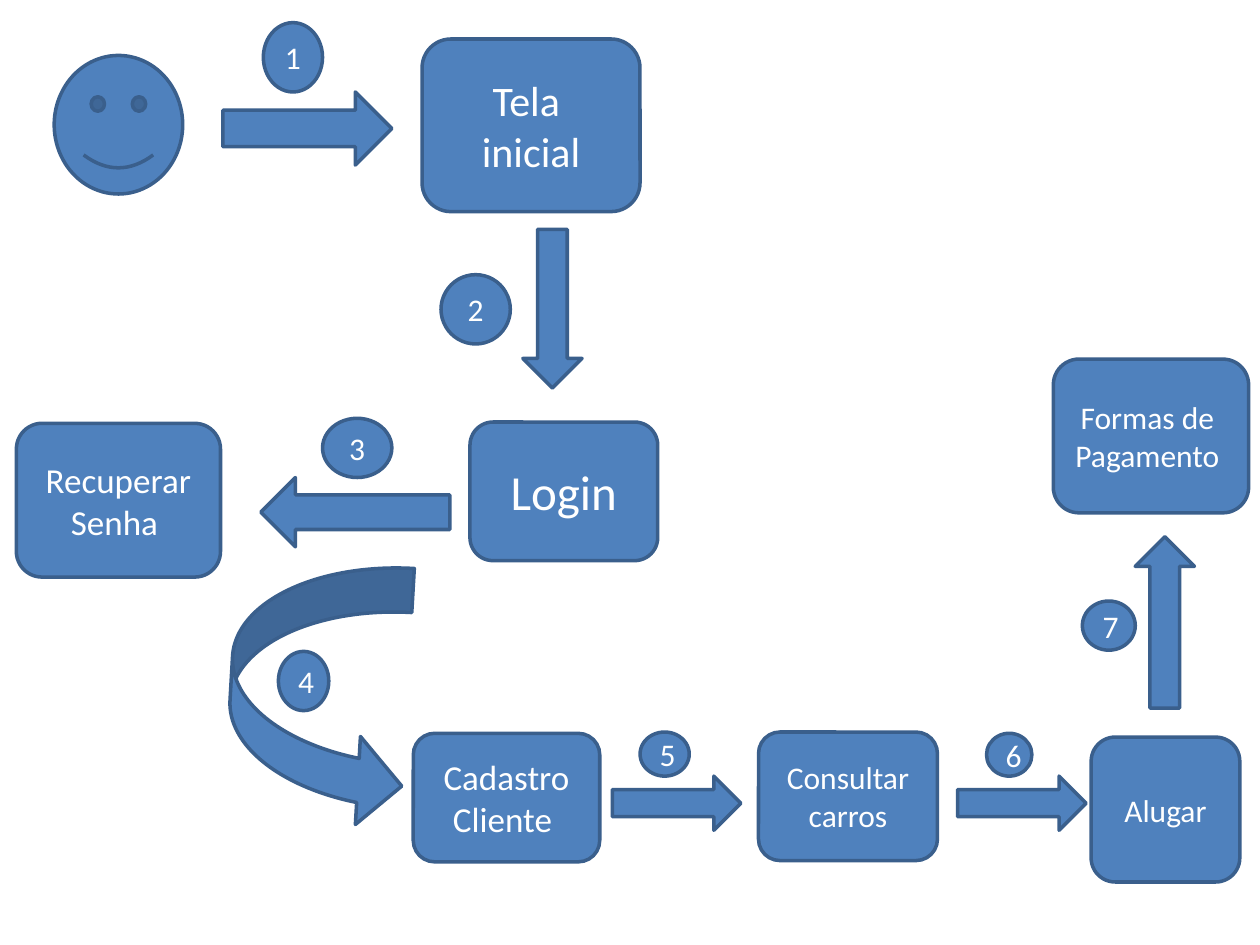
from pptx import Presentation
from pptx.dml.color import RGBColor
from pptx.enum.shapes import MSO_SHAPE
from pptx.enum.text import MSO_ANCHOR, PP_ALIGN
from pptx.util import Inches, Pt

BLUE = RGBColor(0x4F, 0x81, 0xBD)
OUTLINE = RGBColor(0x3A, 0x5F, 0x8C)
WHITE = RGBColor(0xFF, 0xFF, 0xFF)

# Screens: left, top, width, height, text size, lines
SCREENS = [
    (3.35, 0.31, 1.73, 1.37, 24, ["Tela ", "inicial"]),
    (3.73, 3.35, 1.49, 1.1, 28, ["Login"]),
    (0.13, 3.36, 1.62, 1.22, 20, ["Recuperar", "Senha "]),
    (3.28, 5.82, 1.48, 1.02, 20, ["Cadastro", "Cliente "]),
    (6.02, 5.81, 1.42, 1.02, 18, ["Consultar", "carros"]),
    (8.66, 5.85, 1.18, 1.15, 18, ["Alugar"]),
    (8.36, 2.85, 1.55, 1.22, 18, ["Formas de ", "Pagamento "]),
]

# Arrows: preset, left, top, width, height, rotation
ARROWS = [
    (MSO_SHAPE.RIGHT_ARROW, 1.77, 0.73, 1.34, 0.58, 0),
    (MSO_SHAPE.DOWN_ARROW, 4.15, 1.82, 0.47, 1.26, 0),
    (MSO_SHAPE.LEFT_ARROW, 2.07, 3.79, 1.5, 0.55, 0),
    (MSO_SHAPE.CURVED_RIGHT_ARROW, 1.83, 4.47, 1.4, 2.08, 3.3),
    (MSO_SHAPE.RIGHT_ARROW, 4.86, 6.16, 1.02, 0.43, 0),
    (MSO_SHAPE.RIGHT_ARROW, 7.6, 6.16, 1.02, 0.43, 0),
    (MSO_SHAPE.UP_ARROW, 9.01, 4.26, 0.47, 1.36, 0),
]

# Step circles in order: left, top, width, height
STEPS = [
    (2.09, 0.18, 0.47, 0.55),
    (3.5, 2.18, 0.55, 0.55),
    (2.56, 3.32, 0.55, 0.47),
    (2.21, 5.17, 0.4, 0.47),
    (5.08, 5.81, 0.39, 0.35),
    (7.83, 5.82, 0.36, 0.34),
    (8.59, 4.77, 0.42, 0.39),
]


def set_attrs(obj, values):
    for name, value in values.items():
        setattr(obj, name, value)


def add_blue_shape(s, preset, left, top, width, height, rotation=0):
    sp = s.shapes.add_shape(preset, Inches(left), Inches(top),
                            Inches(width), Inches(height))
    sp.rotation = rotation
    sp.shadow.inherit = False
    sp.fill.solid()
    sp.fill.fore_color.rgb = BLUE
    sp.line.color.rgb = OUTLINE
    sp.line.width = Pt(2)
    return sp


def write_lines(sp, lines, size):
    tf = sp.text_frame
    set_attrs(tf, {"word_wrap": True, "vertical_anchor": MSO_ANCHOR.MIDDLE})
    for i, line in enumerate(lines):
        p = tf.add_paragraph() if i else tf.paragraphs[0]
        p.alignment = PP_ALIGN.CENTER
        r = p.add_run()
        r.text = line
        set_attrs(r.font, {"name": "Calibri", "size": Pt(size)})
        r.font.color.rgb = WHITE


def add_screen(s, left, top, width, height, size, lines):
    sp = add_blue_shape(s, MSO_SHAPE.ROUNDED_RECTANGLE,
                        left, top, width, height)
    write_lines(sp, lines, size)


def add_step(s, number, box):
    sp = add_blue_shape(s, MSO_SHAPE.OVAL, *box)
    write_lines(sp, [str(number)], 18)


def main():
    prs = Presentation()
    set_attrs(prs, {"slide_width": Inches(10), "slide_height": Inches(7.5)})
    s = prs.slides.add_slide(prs.slide_layouts[6])

    # User
    add_blue_shape(s, MSO_SHAPE.SMILEY_FACE, 0.43, 0.44, 1.02, 1.1)

    # Screens and the flow between them
    for screen in SCREENS:
        add_screen(s, *screen)
    for arrow in ARROWS:
        add_blue_shape(s, *arrow)

    # Numbered steps
    for number, box in enumerate(STEPS, start=1):
        add_step(s, number, box)

    prs.save("out.pptx")


main()
